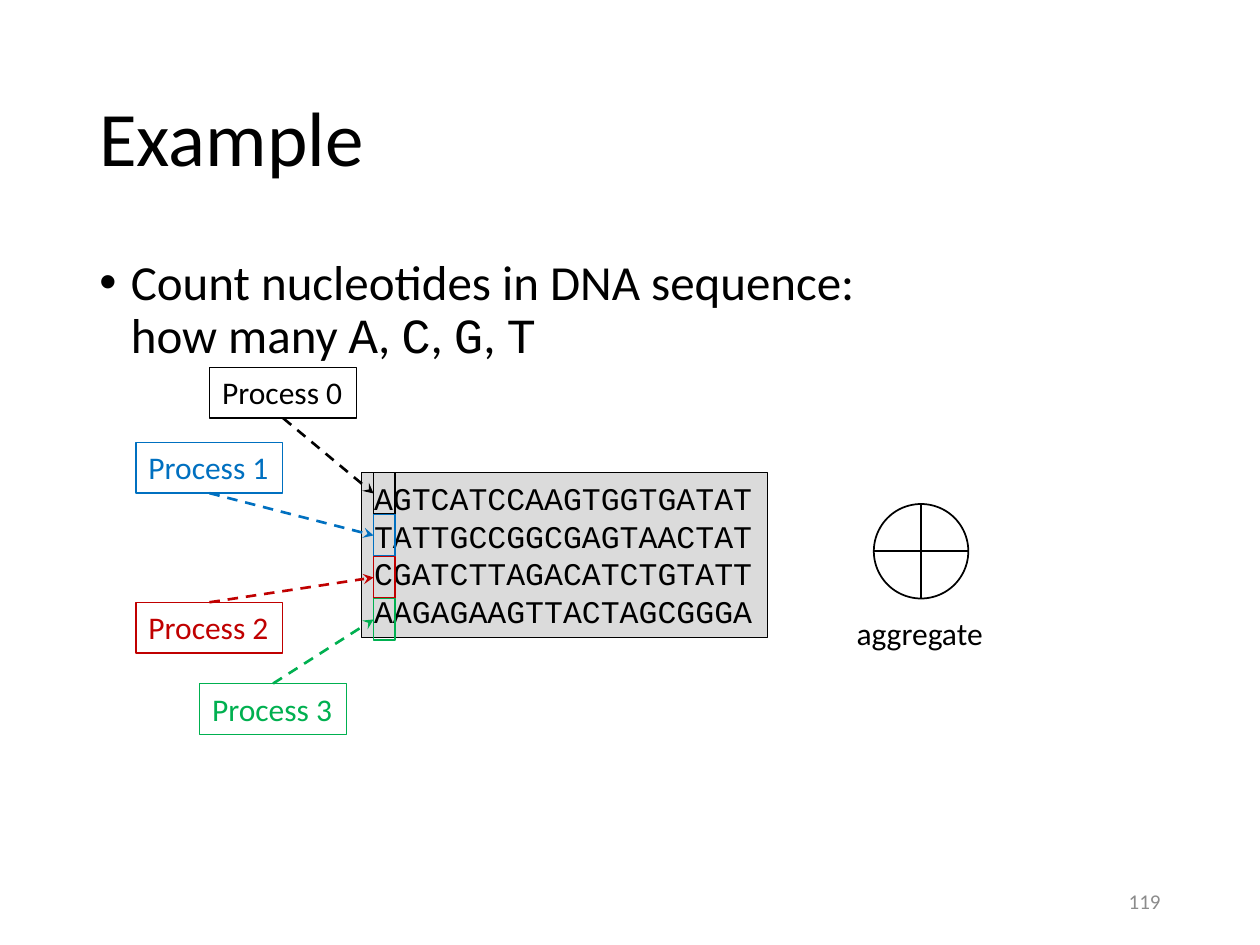
import pptx
import pptx.util
import pptx.dml.color
import pptx.enum.dml
import pptx.enum.shapes
import pptx.enum.text
import pptx.oxml.ns
from lxml import etree

COLS, ROWS = 100, 75
SLIDE_W, SLIDE_H = pptx.util.Inches(10), pptx.util.Inches(7.5)
SANS, MONO = "Calibri", "Courier New"
SHAPE = pptx.enum.shapes.MSO_SHAPE
ANCHOR = pptx.enum.text.MSO_ANCHOR
ALIGN = pptx.enum.text.PP_ALIGN
SEQUENCE = ["AGTCATCCAAGTGGTGATAT", "TATTGCCGGCGAGTAACTAT",
            "CGATCTTAGACATCTGTATT", "AAGAGAAGTTACTAGCGGGA"]
PROCESSES = [(16.65, 29.15, "000000"), (10.8, 35.1, "0070C0"),
             (10.8, 47.8, "C00000"), (15.85, 54.25, "00B050")]


def rgb(color):
    return pptx.dml.color.RGBColor.from_string(color)


def grid(x, y, w, h):
    return (round(x * SLIDE_W / COLS), round(y * SLIDE_H / ROWS),
            round(w * SLIDE_W / COLS), round(h * SLIDE_H / ROWS))


def child(parent, tag, **attrs):
    return etree.SubElement(parent, pptx.oxml.ns.qn(tag), attrs)


def style(r, size, color="000000", font=SANS):
    r.font.size = pptx.util.Pt(size)
    r.font.name = font
    r.font.color.rgb = rgb(color)


def write(sp, text, size, color="000000", font=SANS, anchor=ANCHOR.TOP,
          align=ALIGN.LEFT, fit=False):
    tf = sp.text_frame
    tf.text = text
    tf.word_wrap = not fit
    tf.vertical_anchor = anchor
    if fit:
        tf.auto_size = pptx.enum.text.MSO_AUTO_SIZE.SHAPE_TO_FIT_TEXT
    for p in tf.paragraphs:
        p.alignment = align
        for r in p.runs:
            style(r, size, color, font)
    return tf


def add_box(shapes, box, line, width, fill=None, kind=SHAPE.RECTANGLE):
    sp = shapes.add_shape(kind, *grid(*box))
    sp.shadow.inherit = False
    if fill:
        sp.fill.solid()
        sp.fill.fore_color.rgb = rgb(fill)
    else:
        sp.fill.background()
    sp.line.color.rgb = rgb(line)
    sp.line.width = pptx.util.Pt(width)
    return sp


def add_arrow(shapes, start, start_side, end, end_side, color):
    cx = shapes.add_connector(pptx.enum.shapes.MSO_CONNECTOR.STRAIGHT, 0, 0, 0, 0)
    cx.begin_connect(start, start_side)
    cx.end_connect(end, end_side)
    cx.line.color.rgb = rgb(color)
    cx.line.width = pptx.util.Pt(1.5)
    cx.line.dash_style = pptx.enum.dml.MSO_LINE.DASH
    child(cx.line._get_or_add_ln(), "a:tailEnd", type="stealth")
    child(cx._element.spPr, "a:effectLst")


def add_title(s, box):
    sp = s.shapes.add_textbox(*grid(*box))
    tf = write(sp, "Example", 44, anchor=ANCHOR.MIDDLE)
    tf.paragraphs[0].line_spacing = 0.9


def add_body(s, box):
    sp = s.shapes.add_textbox(*grid(*box))
    tf = write(sp, "Count nucleotides in DNA sequence:\vhow many ", 28)
    p = tf.paragraphs[0]
    p.line_spacing = 0.9
    pPr = p._p.get_or_add_pPr()
    pPr.set("marL", str(pptx.util.Inches(0.25)))
    pPr.set("indent", str(pptx.util.Inches(-0.25)))
    child(pPr, "a:buFont", typeface="Arial")
    child(pPr, "a:buChar", char="•")
    for part in ["A", ", ", "C", ", ", "G", ", ", "T"]:
        r = p.add_run()
        r.text = part
        style(r, 28, font=MONO if part.isalpha() else SANS)


def add_sequence(s, box):
    sp = add_box(s.shapes, box, "000000", 0.75, "DBDBDB")
    write(sp, "\n".join(SEQUENCE), 18, font=MONO, fit=True)


def add_processes(s, box):
    x, y, w, h = box
    row_h = h / len(PROCESSES)
    shapes = s.shapes.add_group_shape().shapes
    for i, (left, top, color) in enumerate(PROCESSES):
        label = add_box(shapes, (left, top, 11.65, 4.04), color, 0.75, "FFFFFF")
        write(label, f"Process {i}", 18, color, fit=True)
        marker = add_box(shapes, (x, y + i * row_h, w, row_h), color, 1)
        add_arrow(shapes, label, 2 if top < y else 0, marker, 1, color)


def add_aggregate(s, box):
    x, y, w, h = box
    size = 7.5
    shapes = s.shapes.add_group_shape().shapes
    add_box(shapes, (x + (w - size) / 2, y, size, size), "000000", 1,
            "FFFFFF", SHAPE.FLOWCHART_OR)
    sp = shapes.add_textbox(*grid(x, y + h - 4.04, w, 4.04))
    write(sp, "aggregate", 18, fit=True)


def add_slide_number(s, box):
    sp = s.shapes.add_textbox(*grid(*box))
    write(sp, "119", 12, "8C8C8C", anchor=ANCHOR.MIDDLE, align=ALIGN.RIGHT)


def main():
    prs = pptx.Presentation()
    prs.slide_width, prs.slide_height = SLIDE_W, SLIDE_H
    s = prs.slides.add_slide(prs.slide_layouts[6])
    add_title(s, (6.9, 4, 86.2, 14.5))
    add_body(s, (6.9, 20, 86.2, 47.6))
    add_sequence(s, (28.7, 37.5, 32.2, 13.1))
    add_processes(s, (29.65, 37.5, 1.7, 13.33))
    add_aggregate(s, (67, 40, 12.2, 12.3))
    add_slide_number(s, (70.6, 69.5, 22.5, 4))
    prs.save("out.pptx")


if __name__ == "__main__":
    main()
